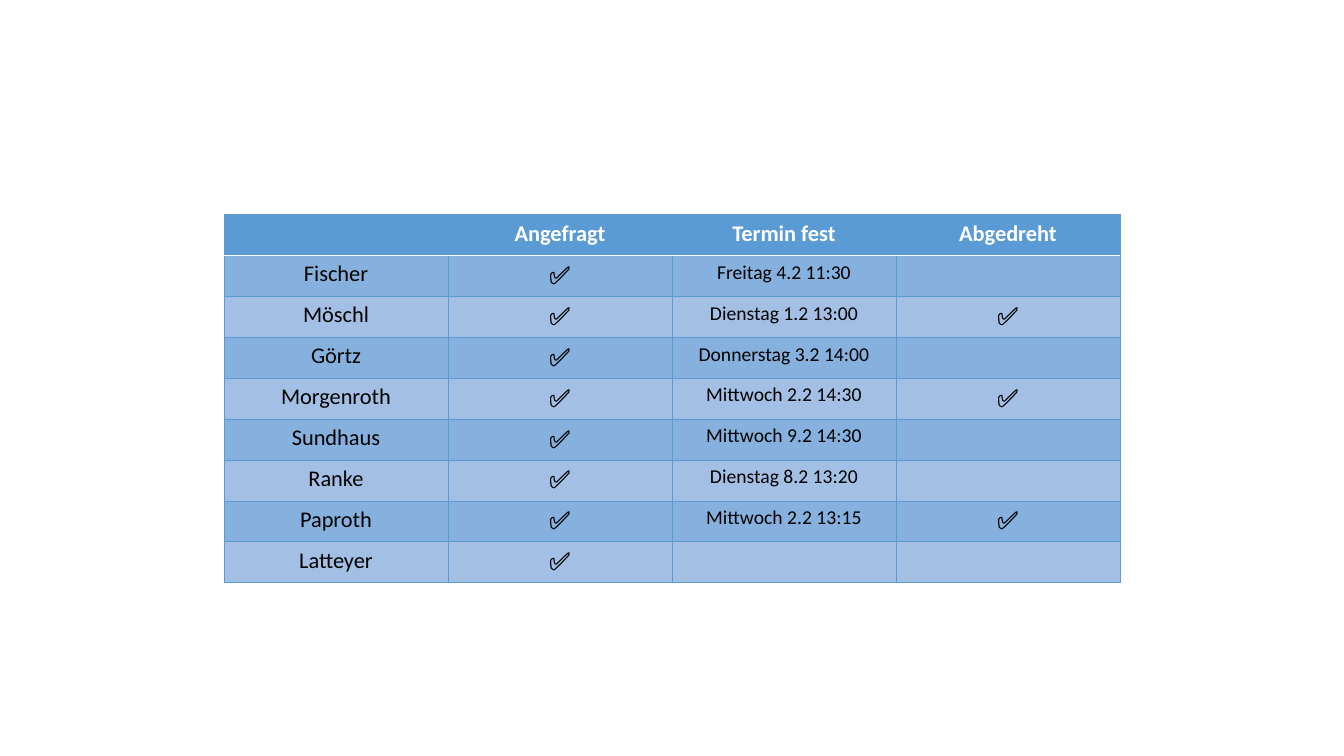
from pptx import Presentation, util as u
from pptx.dml.color import RGBColor
from pptx.enum import text
from pptx.oxml import parse_xml
from pptx.oxml.ns import nsdecls

BLUE, DARK, LIGHT = "5B9BD5", "86B1DE", "A3C0E4"
WHITE, BLACK = "FFFFFF", "000000"
YES = "\u2705"


def paint(fill, hue):
    fill.solid()
    fill.fore_color.rgb = RGBColor.from_string(hue)


def edge(cell, side, hue, width):
    cell._tc.get_or_add_tcPr().append(parse_xml(
        f'<a:ln{side} {nsdecls("a")} w="{u.Pt(width)}"><a:solidFill>'
        f'<a:srgbClr val="{hue}"/></a:solidFill></a:ln{side}>'))


deck = Presentation()
deck.slide_width, deck.slide_height = u.Inches(13.33), u.Inches(7.5)
slide = deck.slides.add_slide(deck.slide_layouts[6])

# Name, asked, date, filmed
rows = [
    ("", "Angefragt", "Termin fest", "Abgedreht"),
    ("Fischer", YES, "Freitag 4.2 11:30", ""),
    ("Möschl", YES, "Dienstag 1.2 13:00", YES),
    ("Görtz", YES, "Donnerstag 3.2 14:00", ""),
    ("Morgenroth", YES, "Mittwoch 2.2 14:30", YES),
    ("Sundhaus", YES, "Mittwoch 9.2 14:30", ""),
    ("Ranke", YES, "Dienstag 8.2 13:20", ""),
    ("Paproth", YES, "Mittwoch 2.2 13:15", YES),
    ("Latteyer", YES, "", ""),
]
sizes = (16, 18, 14, 18)

# Four of six slide columns, one free on each side
wide = deck.slide_width // 6
high = u.Inches(3.65) // len(rows)
table = slide.shapes.add_table(len(rows), 4, wide, u.Inches(2.13),
                               wide * 4, high * len(rows)).table
table.horz_banding = False

for r, row in enumerate(rows):
    head = r == 0
    table.rows[r].height = high
    for c, word in enumerate(row):
        cell = table.cell(r, c)

        # Borders come before the fill; a white rule closes the header
        for side in "LRTB":
            rule = (r, side) in ((0, "B"), (1, "T"))
            edge(cell, side, WHITE if rule else BLUE, 1 if rule else 0.5)
        paint(cell.fill, BLUE if head else DARK if r % 2 else LIGHT)

        # Centred text
        para = cell.text_frame.paragraphs[0]
        para.alignment = text.PP_ALIGN.CENTER
        if word:
            run = para.add_run()
            run.text = word
            font = run.font
            font.name, font.bold = "Calibri", head
            font.size = u.Pt(16 if head else sizes[c])
            paint(font.fill, WHITE if head else BLACK)

deck.save("out.pptx")
